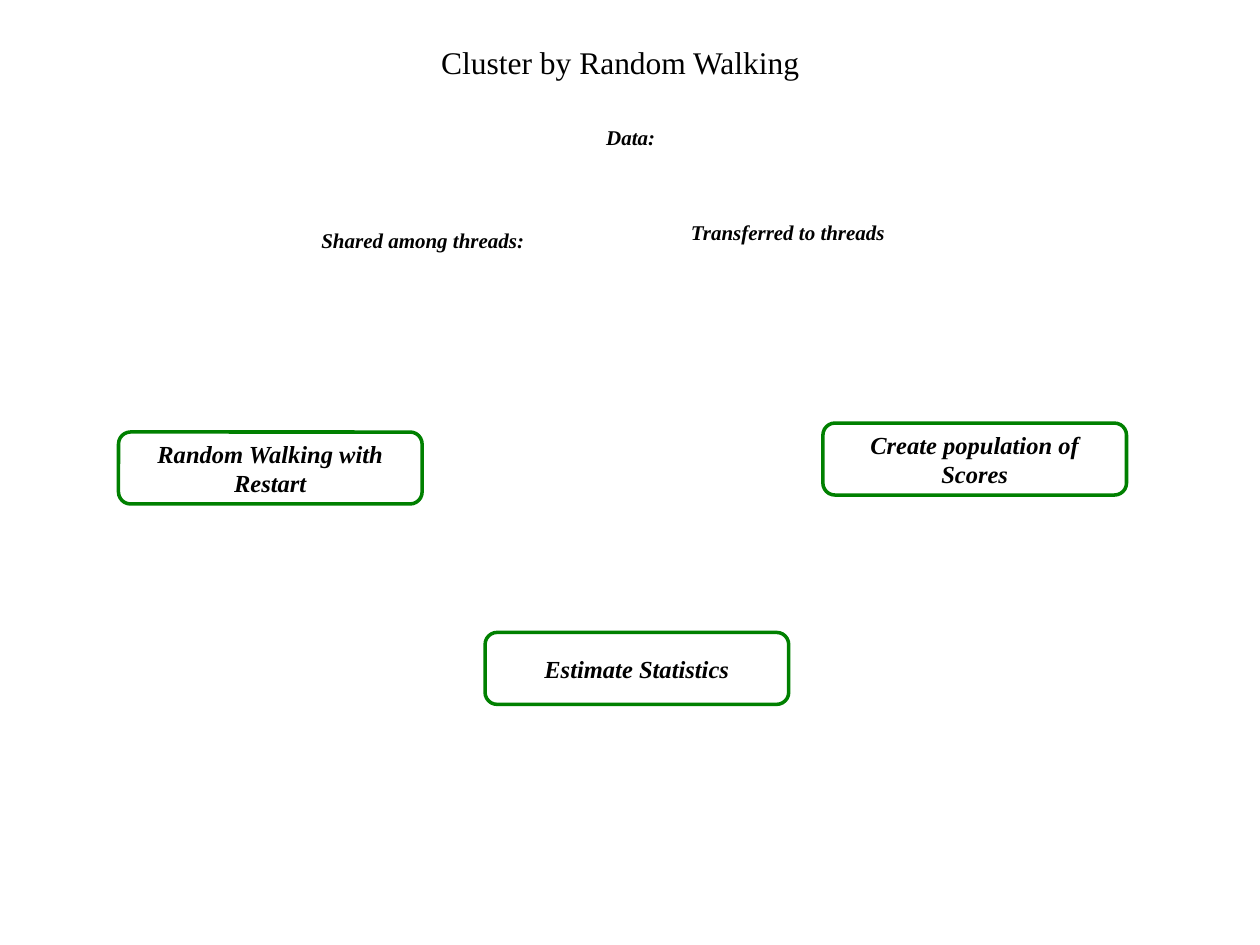
"""Build the slide on clustering by random walking."""
from dataclasses import dataclass

from pptx import Presentation
from pptx.dml.color import RGBColor
from pptx.enum.shapes import MSO_SHAPE
from pptx.enum.text import MSO_ANCHOR, PP_ALIGN
from pptx.util import Cm, Pt

ROUNDED = MSO_SHAPE.ROUNDED_RECTANGLE
CENTER = PP_ALIGN.CENTER
TOP = MSO_ANCHOR.TOP
MIDDLE = MSO_ANCHOR.MIDDLE


@dataclass(frozen=True)
class Theme:
    font: str = "Times New Roman"
    ink: RGBColor = RGBColor(0, 0, 0)
    paper: RGBColor = RGBColor(255, 255, 255)
    border: RGBColor = RGBColor(0, 128, 0)
    border_width: float = 2
    title_size: float = 18
    step_size: float = 14
    label_size: float = 12


class Painter:
    def __init__(self, slide, theme):
        self.slide = slide
        self.theme = theme

    def add_text(self, shape, text, size, anchor, emphasis=True):
        frame = shape.text_frame
        frame.word_wrap = True
        frame.vertical_anchor = anchor
        frame.margin_left = frame.margin_right = Cm(0.25)
        frame.margin_top = frame.margin_bottom = Cm(0.13)
        para = frame.paragraphs[0]
        para.alignment = CENTER
        span = para.add_run()
        span.text = text
        font = span.font
        font.name = self.theme.font
        font.size = Pt(size)
        font.bold = font.italic = emphasis
        font.color.rgb = self.theme.ink

    def title(self, text, left, top, width, height):
        box = self.slide.shapes.title
        box.left, box.top, box.width, box.height = map(Cm, (left, top, width, height))
        self.add_text(box, text, self.theme.title_size, TOP, emphasis=False)

    def label(self, text, left, top, width=5.87, height=0.76):
        box = self.slide.shapes.add_textbox(*map(Cm, (left, top, width, height)))
        self.add_text(box, text, self.theme.label_size, TOP)

    def step(self, text, left, top, width=6.12, height=1.45):
        box = self.slide.shapes.add_shape(ROUNDED, *map(Cm, (left, top, width, height)))
        box.shadow.inherit = False
        box.fill.solid()
        box.fill.fore_color.rgb = self.theme.paper
        box.line.color.rgb = self.theme.border
        box.line.width = Pt(self.theme.border_width)
        self.add_text(box, text, self.theme.step_size, MIDDLE)


deck = Presentation()
deck.slide_width, deck.slide_height = Cm(25.4), Cm(19.05)
slide = deck.slides.add_slide(deck.slide_layouts[5])
painter = Painter(slide, Theme())

painter.title("Cluster by Random Walking", 7.87, 0.74, 9.27, 1.02)

for text, left, top in (
    ("Random Walking with Restart", 2.39, 8.71),
    ("Create population of Scores", 16.59, 8.53),
    ("Estimate Statistics", 9.78, 12.75),
):
    painter.step(text, left, top)

for text, left, top in (
    ("Shared among threads:", 5.59, 4.45),
    ("Data:", 9.78, 2.39),
    ("Transferred to threads", 12.95, 4.29),
):
    painter.label(text, left, top)

deck.save("out.pptx")
